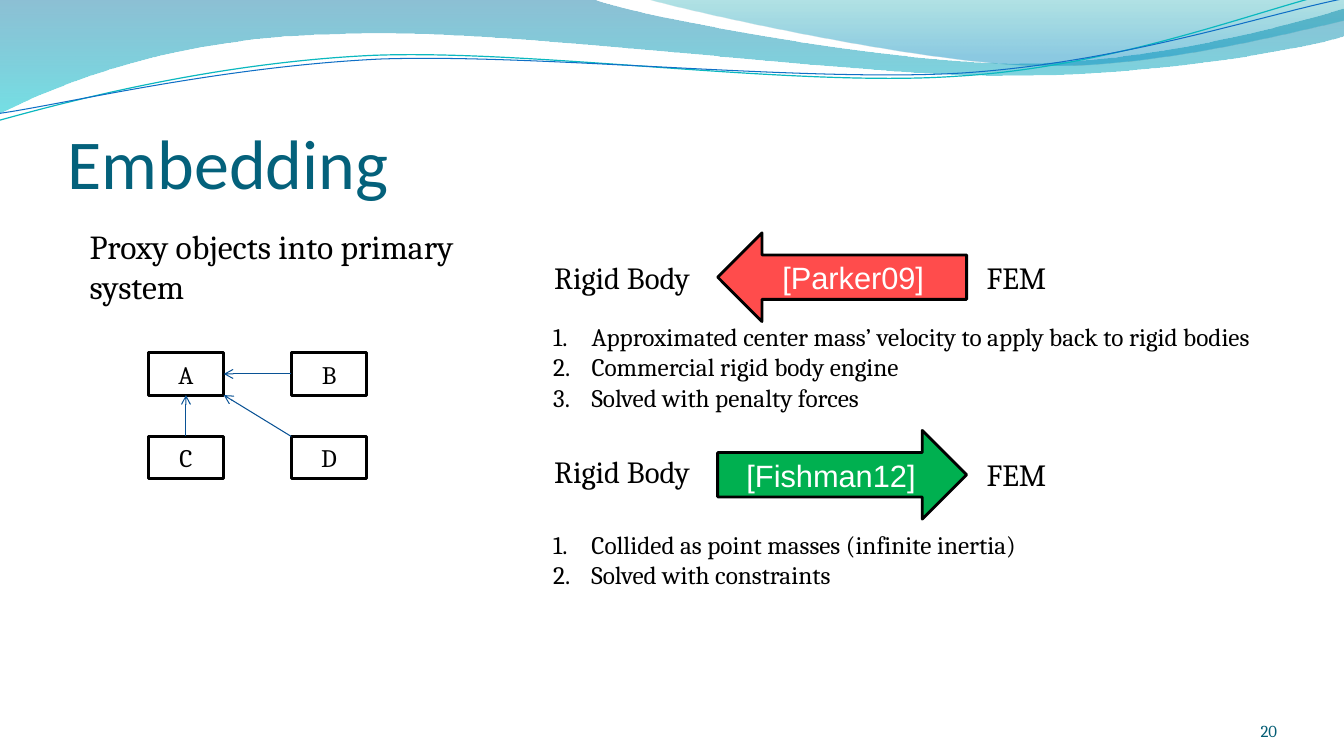
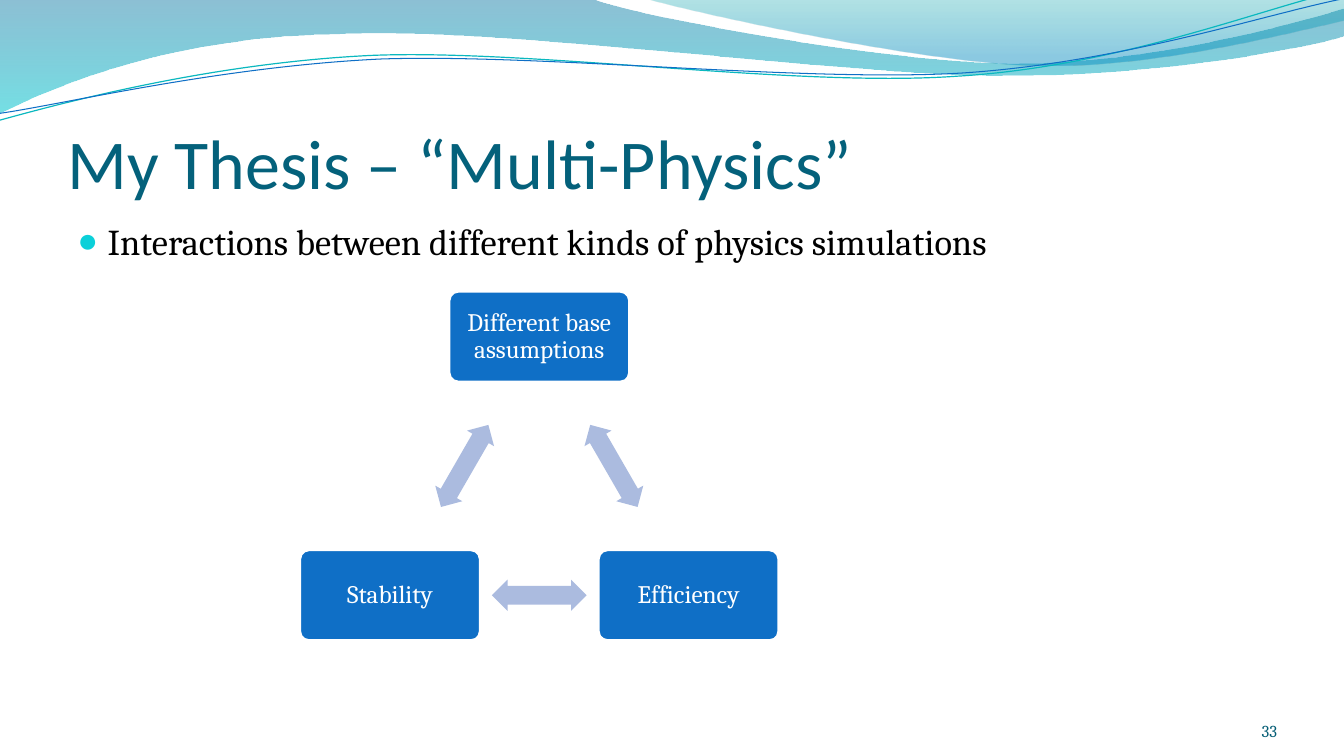
from dataclasses import dataclass
from itertools import combinations
from math import atan2, cos, degrees, radians, sin

from pptx import Presentation
from pptx.dml.color import RGBColor
from pptx.enum.shapes import MSO_CONNECTOR, MSO_SHAPE
from pptx.enum.text import MSO_ANCHOR, PP_ALIGN
from pptx.oxml.xmlchemy import OxmlElement
from pptx.util import Pt

EMU_PER_PX = 9144  # 100 px to the inch


@dataclass(frozen=True)
class TextStyle:
    font: str
    size: int
    color: str


@dataclass(frozen=True)
class Theme:
    title = TextStyle("Calibri", 50, "04617B")
    body = TextStyle("Cambria", 26, "000000")
    lead = TextStyle("Cambria", 24, "000000")
    label = TextStyle("Cambria", 22, "000000")
    detail = TextStyle("Cambria", 18, "000000")
    citation = TextStyle("Arial", 22, "FFFFFF")
    node = TextStyle("Cambria", 18, "FFFFFF")
    page_number = TextStyle("Cambria", 12, "045D75")
    bullet_font = "Arial"
    bullet = "0BD0D9"
    outline = "000000"
    connector = "095295"
    node_fill = "0F6FC6"
    node_line = "FFFFFF"
    link_fill = "ABBBDF"
    backward = "FF0000"
    forward = "00B050"


THEME = Theme()
DEFAULT_INSETS = (10, 5, 10, 5)

# Header waves in px: a start point, then lines (x, y) and Bézier curves (six values).
# Gradient stops hold position, colour and opacity in percent.
WAVE_BANDS = [
    ((0, 0), [(587, -1), (634, 17, 885, 63, 1011, 63), (1138, 63, 1278, 26, 1333, 9),
              (1335, 36), (1311, 44, 1160, 76, 994, 75), (829, 75, 509, 28, 343, 34),
              (172, 36, 61, 83, -1, 113)],
     [(0, "0074A1", 45), (100, "00C6CF", 55)]),
    ((639, -1), [(679, 11, 909, 62, 1025, 65), (1141, 69, 1282, 32, 1333, 21), (1333, 0)],
     [(0, "00A1A9", 30), (80, "008BBF", 45)]),
]
WAVE_LINES = [
    ((-3, 88), [(63, 73, 211, 41, 369, 41), (528, 42, 788, 93, 949, 89),
                (1109, 87, 1254, 36, 1333, 22)], "0AB8BF", 0.85),
    ((-2, 81), [(62, 75, 218, 45, 378, 45), (537, 47, 795, 88, 954, 86),
                (1114, 83, 1256, 42, 1336, 30)], "0F6FC6", 0.75),
]
WAVE_LINE_ROTATION = -2.7


def px(length):
    return round(length * EMU_PER_PX)


def rgb(color):
    return RGBColor.from_string(color)


def add_child(parent, tag, **attributes):
    child = OxmlElement(tag)
    for name, value in attributes.items():
        child.set(name, str(value))
    parent.append(child)
    return child


def set_opacity(shape, percents):
    """Give the fill colours of a shape, in order, their opacity."""
    colors = list(shape.fill._xPr.iter("{*}srgbClr"))
    for color, percent in zip(colors, percents):
        add_child(color, "a:alpha", val=percent * 1000)


# Text

def write_text(shape, texts, style, align=PP_ALIGN.LEFT, anchor=MSO_ANCHOR.TOP,
               insets=DEFAULT_INSETS, spacing=None):
    frame = shape.text_frame
    frame.word_wrap = True
    frame.vertical_anchor = anchor
    frame.margin_left, frame.margin_top, frame.margin_right, frame.margin_bottom = map(px, insets)
    for index, text in enumerate(texts):
        paragraph = frame.add_paragraph() if index else frame.paragraphs[0]
        paragraph.alignment = align
        paragraph.line_spacing = spacing
        run = paragraph.add_run()
        run.text = text
        run.font.name = style.font
        run.font.size = Pt(style.size)
        run.font.color.rgb = rgb(style.color)


def add_text(slide, box, texts, style, **options):
    shape = slide.shapes.add_textbox(*map(px, box))
    write_text(shape, texts, style, **options)
    return shape


def set_indent(paragraph, margin, hanging):
    properties = paragraph._p.get_or_add_pPr()
    properties.set("marL", str(px(margin)))
    properties.set("indent", str(-px(hanging)))
    return properties


def add_numbered_list(slide, box, texts):
    shape = add_text(slide, box, texts, THEME.detail)
    for paragraph in shape.text_frame.paragraphs:
        properties = set_indent(paragraph, 88, 38)
        add_child(properties, "a:buFont", typeface="+mj-lt")
        add_child(properties, "a:buAutoNum", type="arabicPeriod")


def add_bulleted_list(slide, box, texts):
    shape = add_text(slide, box, texts, THEME.body)
    for paragraph in shape.text_frame.paragraphs:
        properties = set_indent(paragraph, 30, 30)
        add_child(add_child(properties, "a:buClr"), "a:srgbClr", val=THEME.bullet)
        add_child(properties, "a:buSzPct", val=95000)
        add_child(properties, "a:buFont", typeface=THEME.bullet_font)
        add_child(properties, "a:buChar", char="●")


# Shapes and lines

def paint(shape, fill=None, line=None, width=2):
    shape.shadow.inherit = False
    if fill:
        shape.fill.solid()
        shape.fill.fore_color.rgb = rgb(fill)
    else:
        shape.fill.background()
    if line:
        shape.line.color.rgb = rgb(line)
        shape.line.width = Pt(width)
    else:
        shape.line.fill.background()


def add_shape(slide, kind, box, fill=None, line=None):
    shape = slide.shapes.add_shape(kind, *map(px, box))
    paint(shape, fill, line)
    return shape


def add_arrow_line(slide, start, end):
    connector = slide.shapes.add_connector(MSO_CONNECTOR.STRAIGHT, *map(px, start + end))
    connector.line.color.rgb = rgb(THEME.connector)
    connector.line.width = Pt(0.75)
    add_child(connector.line._get_or_add_ln(), "a:tailEnd", type="arrow")
    add_child(connector._element.spPr, "a:effectLst")


def add_outline(slide, start, segments, close):
    """Build a freeform; each run of three control points becomes one Bézier curve."""
    points = [(px(x), px(y)) for segment in segments
              for x, y in zip(segment[::2], segment[1::2])]
    builder = slide.shapes.build_freeform(*map(px, start), scale=1.0)
    builder.add_line_segments(points, close=close)
    shape = builder.convert_to_shape()
    line_steps = iter(list(shape._element.iter("{*}lnTo")))
    for segment in segments:
        steps = [next(line_steps) for _ in range(len(segment) // 2)]
        if len(steps) == 3:
            curve = OxmlElement("a:cubicBezTo")
            steps[0].addprevious(curve)
            for step in steps:
                curve.append(step[0])
                step.getparent().remove(step)
    return shape


# Parts shared by all slides

def add_waves(slide):
    for start, segments, stops in WAVE_BANDS:
        band = add_outline(slide, start, segments, close=True)
        paint(band)
        band.fill.gradient()
        band.fill.gradient_angle = 270
        for stop, (position, color, _) in zip(band.fill.gradient_stops, stops):
            stop.position = position / 100
            stop.color.rgb = rgb(color)
        set_opacity(band, [opacity for _, _, opacity in stops])
    for start, segments, color, width in WAVE_LINES:
        wave = add_outline(slide, start, segments, close=False)
        paint(wave, line=color, width=width)
        wave.rotation = WAVE_LINE_ROTATION


def add_base_slide(presentation, title, number):
    slide = presentation.slides.add_slide(presentation.slide_layouts[6])
    add_waves(slide)
    add_text(slide, (67, 77, 1200, 125), [title], THEME.title,
             anchor=MSO_ANCHOR.BOTTOM, insets=(0, 5, 0, 0))
    add_text(slide, (1156, 695, 111, 40), [str(number)], THEME.page_number,
             align=PP_ALIGN.RIGHT, anchor=MSO_ANCHOR.BOTTOM, insets=(0, 0, 0, 0))
    return slide


# Embedding

def add_proxy_diagram(slide):
    width, height = 75, 42
    left, top = 147, 350
    column_step, row_step = 142, 83
    right, bottom = left + width, top + height
    for index, name in enumerate("ABCD"):
        row, column = divmod(index, 2)
        box = (left + column * column_step, top + row * row_step, width, height)
        shape = add_shape(slide, MSO_SHAPE.RECTANGLE, box, line=THEME.outline)
        write_text(shape, [name], THEME.detail, PP_ALIGN.CENTER, MSO_ANCHOR.MIDDLE)
    column_b, row_c = left + column_step, top + row_step
    middle_x, middle_y = left + width / 2, top + height / 2
    add_arrow_line(slide, (column_b, middle_y), (right, middle_y))
    add_arrow_line(slide, (middle_x, row_c), (middle_x, bottom))
    add_arrow_line(slide, (column_b, row_c), (right, bottom))


def add_method(slide, kind, color, citation, arrow_top, label_tops):
    for name, left, width, top in zip(("Rigid Body", "FEM"), (540, 969), (188, 82), label_tops):
        add_text(slide, (left, top, width, 47), [name], THEME.label)
    arrow = add_shape(slide, kind, (712, arrow_top, 247, 88), color, THEME.outline)
    write_text(arrow, [citation], THEME.citation, PP_ALIGN.CENTER, MSO_ANCHOR.MIDDLE)
    return arrow


def build_embedding(presentation):
    slide = add_base_slide(presentation, "Embedding", 20)
    add_text(slide, (79, 219, 429, 91), ["Proxy objects into primary system"], THEME.lead)
    add_proxy_diagram(slide)
    backward = add_method(slide, MSO_SHAPE.LEFT_ARROW, THEME.backward, "[Parker09]",
                          231, (252, 252))
    set_opacity(backward, [70])
    add_numbered_list(slide, (489, 314, 799, 101), [
        "Approximated center mass’ velocity to apply back to rigid bodies",
        "Commercial rigid body engine",
        "Solved with penalty forces",
    ])
    add_method(slide, MSO_SHAPE.RIGHT_ARROW, THEME.forward, "[Fishman12]", 427, (444, 447))
    add_numbered_list(slide, (489, 520, 694, 71), [
        "Collided as point masses (infinite inertia)",
        "Solved with constraints",
    ])


# Thesis

def centred_box(center, width, height):
    return center[0] - width / 2, center[1] - height / 2, width, height


def add_cycle(slide, names, center, radius):
    angles = [radians(-90 + index * 360 / len(names)) for index in range(len(names))]
    points = [(center[0] + radius * cos(angle), center[1] + radius * sin(angle))
              for angle in angles]
    for name, point in zip(names, points):
        node = add_shape(slide, MSO_SHAPE.ROUNDED_RECTANGLE, centred_box(point, 179, 90),
                         THEME.node_fill, THEME.node_line)
        node.adjustments[0] = 0.1
        write_text(node, [name], THEME.node, PP_ALIGN.CENTER, MSO_ANCHOR.MIDDLE,
                   (7, 7, 7, 7), spacing=0.9)
    for (x1, y1), (x2, y2) in combinations(points, 2):
        middle = ((x1 + x2) / 2, (y1 + y2) / 2)
        link = add_shape(slide, MSO_SHAPE.LEFT_RIGHT_ARROW, centred_box(middle, 94, 31),
                         THEME.link_fill)
        link.adjustments[0], link.adjustments[1] = 0.6, 0.5
        link.rotation = round(degrees(atan2(y2 - y1, x2 - x1)))


def build_thesis(presentation):
    slide = add_base_slide(presentation, "My Thesis – “Multi-Physics”", 33)
    add_bulleted_list(slide, (67, 212, 1200, 480),
                      ["Interactions between different kinds of physics simulations"])
    add_cycle(slide, ["Different base assumptions", "Efficiency", "Stability"], (535, 505), 171)


def main():
    presentation = Presentation()
    presentation.slide_width, presentation.slide_height = px(750 * 16 / 9), px(750)
    build_embedding(presentation)
    build_thesis(presentation)
    presentation.save("out.pptx")


if __name__ == "__main__":
    main()
